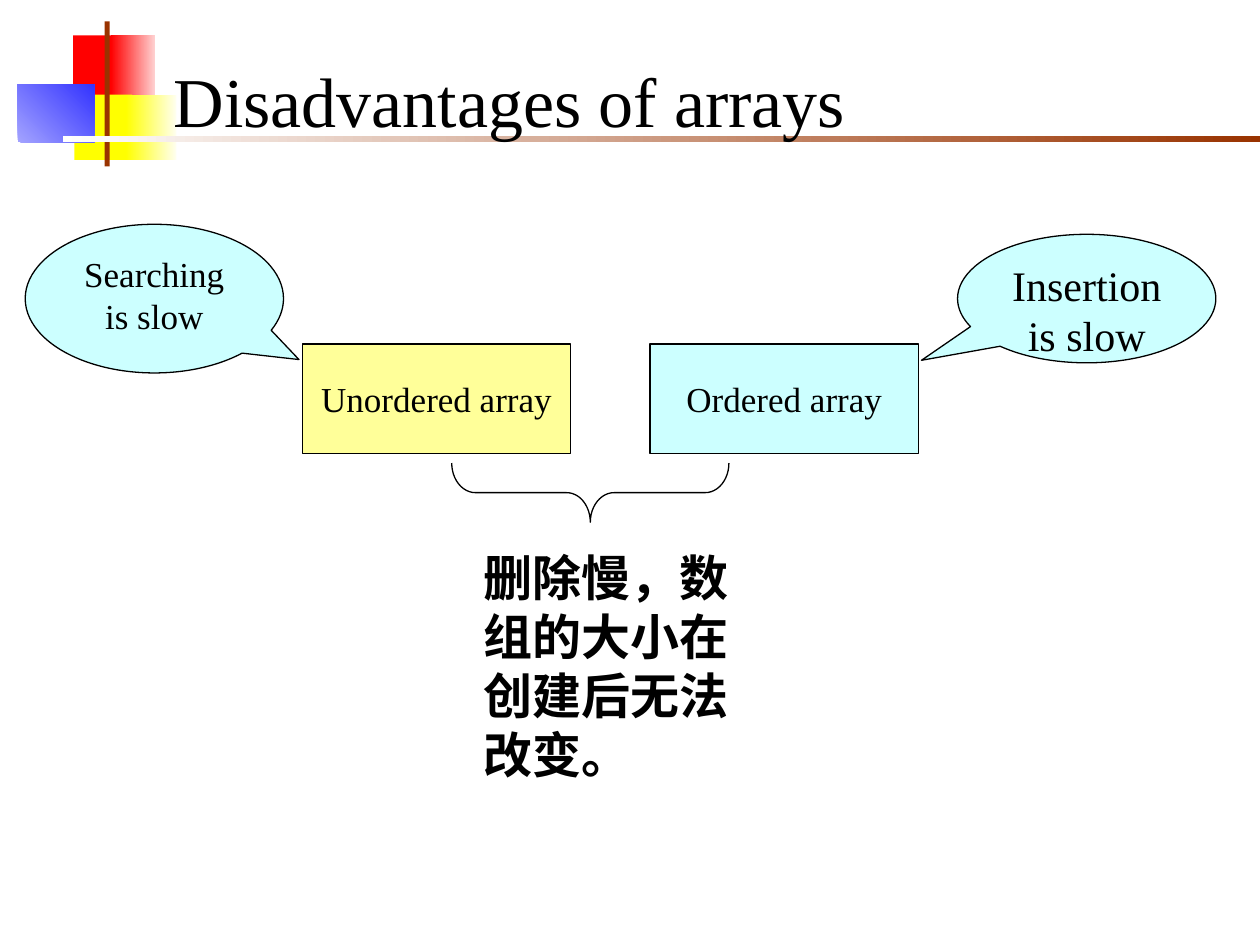
"""Build the slide on the disadvantages of arrays."""
import pptx
import pptx.dml.color
import pptx.enum.shapes
import pptx.enum.text
import pptx.util

WIDTH, HEIGHT = 10, 7.5
FONT = "Times New Roman"
SHAPE = pptx.enum.shapes.MSO_SHAPE
ANCHOR = pptx.enum.text.MSO_ANCHOR
ALIGN = pptx.enum.text.PP_ALIGN


def rgb(value):
    """Return the colour for a hex string."""
    return pptx.dml.color.RGBColor.from_string(value)


def inches(box):
    """Convert left, top, width and height to lengths."""
    return [pptx.util.Inches(v) for v in box]


def set_text(sp, text, size, align=ALIGN.LEFT, anchor=ANCHOR.TOP, wrap=True, bold=False):
    """Write one formatted paragraph and return it."""
    tf = sp.text_frame
    tf.text = text
    tf.word_wrap = wrap
    tf.vertical_anchor = anchor
    p = tf.paragraphs[0]
    p.alignment = align
    font = p.runs[0].font
    font.name, font.size, font.bold = FONT, pptx.util.Pt(size), bold
    font.color.rgb = rgb("000000")
    return p


def add_block(s, box, colors, angle=0):
    """Add a borderless rectangle with a solid or two-colour fill."""
    sp = s.shapes.add_shape(SHAPE.RECTANGLE, *inches(box))
    sp.shadow.inherit = False
    sp.line.fill.background()
    if len(colors) == 1:
        sp.fill.solid()
        sp.fill.fore_color.rgb = rgb(colors[0])
    else:
        sp.fill.gradient()
        sp.fill.gradient_angle = angle
        for stop, color in zip(sp.fill.gradient_stops, colors):
            stop.color.rgb = rgb(color)


def add_outlined(s, kind, box, fill=None, adjustments=()):
    """Add a preset shape with a thin black outline."""
    sp = s.shapes.add_shape(kind, *inches(box))
    sp.shadow.inherit = False
    sp.line.color.rgb = rgb("000000")
    sp.line.width = pptx.util.Pt(0.75)
    if fill:
        sp.fill.solid()
        sp.fill.fore_color.rgb = rgb(fill)
    else:
        sp.fill.background()
    for i, value in enumerate(adjustments):
        sp.adjustments[i] = value
    return sp


def add_decoration(s):
    """Add the coloured squares and the two bars beside the title."""
    add_block(s, (0.58, 0.28, 0.35, 0.52), ["FF0000"])
    add_block(s, (0.88, 0.28, 0.35, 0.52), ["FF0000", "FFD1D1"])
    add_block(s, (0.59, 0.75, 0.46, 0.52), ["FFFF00"])
    add_block(s, (1, 0.75, 0.4, 0.52), ["FFFF00", "FFFFEF"])
    add_block(s, (0.14, 0.67, 0.61, 0.46), ["A3A3FF", "3333FF"], 45)
    add_block(s, (0.83, 0.17, 0.04, 1.15), ["993300"])
    add_block(s, (0.5, 1.08, WIDTH - 0.5, 0.05), ["FFFFFF", "993300"])


def add_title(s, text):
    """Add the slide title."""
    sp = s.shapes.add_textbox(*inches((1.28, 0.25, 8.57, 0.92)))
    p = set_text(sp, text, 40, anchor=ANCHOR.BOTTOM)
    p.line_spacing = pptx.util.Pt(48)


def add_array(s, left, text, fill):
    """Add the box that names one kind of array."""
    sp = add_outlined(s, SHAPE.RECTANGLE, (left, 2.73, 2.13, 0.87), fill)
    set_text(sp, text, 20, ALIGN.CENTER, ANCHOR.MIDDLE, wrap=False)


def add_callout(s, box, text, size, tip):
    """Add a speech bubble that points at an array."""
    sp = add_outlined(s, SHAPE.OVAL_CALLOUT, box, "CCFFFF", tip)
    set_text(sp, text, size, ALIGN.CENTER)


def add_conclusion(s, text):
    """Add the brace under both arrays and the shared drawback."""
    brace = add_outlined(s, SHAPE.RIGHT_BRACE, (4.45, 2.81, 0.47, 2.2), adjustments=(0.4, 0.5))
    brace.rotation = 90
    sp = s.shapes.add_textbox(*inches((3.74, 4.3, 2.28, 1.97)))
    p = set_text(sp, text, 28, bold=True)
    p.space_before = pptx.util.Pt(17.5)


def main():
    """Build and save the presentation."""
    prs = pptx.Presentation()
    prs.slide_width, prs.slide_height = inches((WIDTH, HEIGHT))
    s = prs.slides.add_slide(prs.slide_layouts[6])
    add_decoration(s)
    add_title(s, "Disadvantages of arrays")
    add_array(s, 2.4, "Unordered array", "FFFF99")
    add_array(s, 5.16, "Ordered array", "CCFFFF")
    add_callout(s, (0.2, 1.78, 2.05, 1.18), "Searching is slow", 20, (0.56, 0.41))
    add_callout(s, (7.6, 1.86, 2.05, 1.02), "Insertion is slow", 24, (-0.64, 0.48))
    add_conclusion(s, "删除慢，数组的大小在创建后无法改变。")
    prs.save("out.pptx")


if __name__ == "__main__":
    main()
